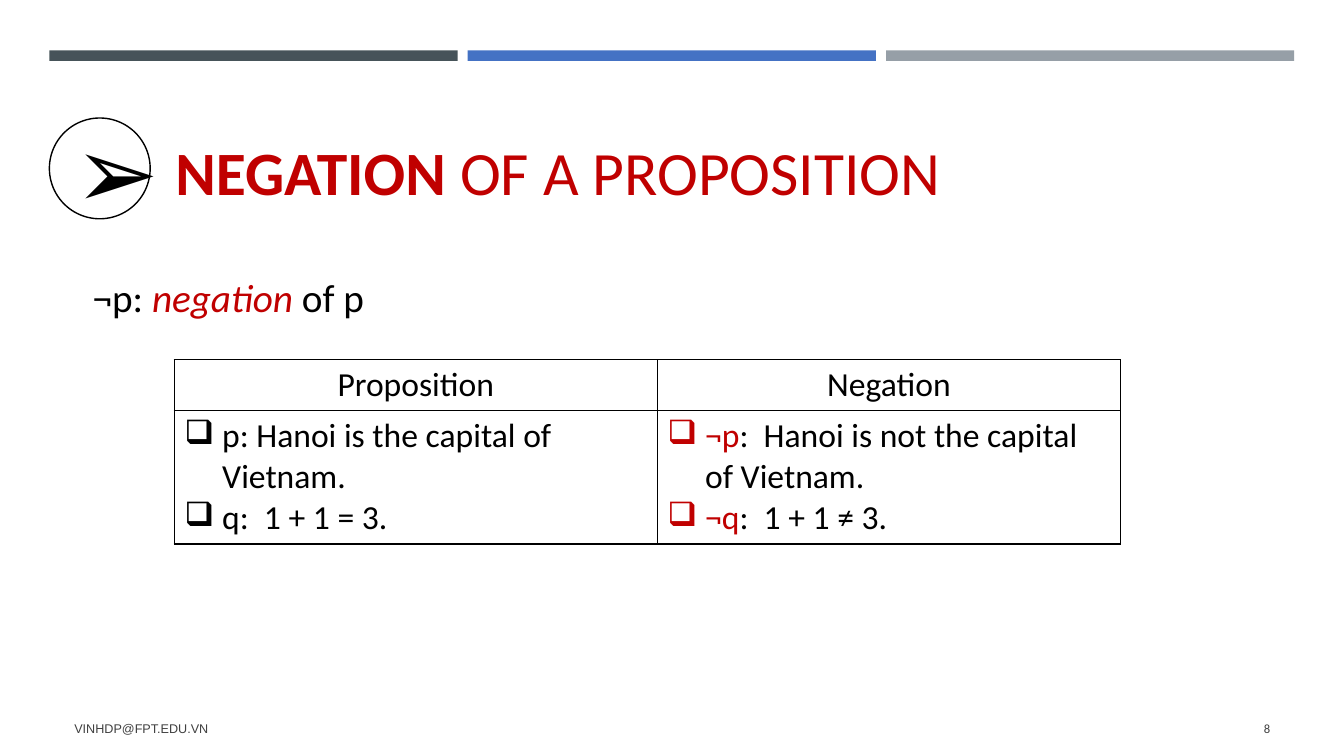
from lxml.etree import SubElement
from pptx import Presentation
from pptx.dml.color import RGBColor
from pptx.enum.shapes import MSO_SHAPE
from pptx.enum.text import MSO_ANCHOR, MSO_AUTO_SIZE, PP_ALIGN
from pptx.oxml.ns import qn
from pptx.util import Pt

COLORS = {"slate": "465359", "blue": "4472C4", "gray": "969FA7", "red": "C00000",
          "black": "000000", "white": "FFFFFF", "footer": "404040"}


def rgb(name):
    return RGBColor.from_string(COLORS[name])


def write_runs(paragraph, runs, size, font="Calibri"):
    """Fill a paragraph with (text, color, style) runs; style is "bold", "italic" or ""."""
    paragraph.font.name = font
    paragraph.font.size = Pt(size)
    for text, color, style in runs:
        run = paragraph.add_run()
        run.text = text
        run.font.color.rgb = rgb(color)
        if style:
            setattr(run.font, style, True)


presentation = Presentation()
presentation.slide_width, presentation.slide_height = Pt(960), Pt(540)
slide = presentation.slides.add_slide(presentation.slide_layouts[1])

# Bars across the top
for index, color in enumerate(["slate", "blue", "gray"]):
    bar = slide.shapes.add_shape(MSO_SHAPE.RECTANGLE, Pt(35.3 + index * 298.8), Pt(36),
                                 Pt(291.6), Pt(7.5))
    bar.shadow.inherit = False
    bar.fill.solid()
    bar.fill.fore_color.rgb = rgb(color)
    bar.line.fill.background()

# Title
title = slide.shapes.title
title.left, title.top, title.width, title.height = Pt(118), Pt(58), Pt(796), Pt(94)
title.text_frame.auto_size = MSO_AUTO_SIZE.NONE
title.text_frame.vertical_anchor = MSO_ANCHOR.BOTTOM
paragraph = title.text_frame.paragraphs[0]
paragraph.alignment = PP_ALIGN.LEFT
write_runs(paragraph, [("NEGATION", "red", "bold"), (" OF A PROPOSITION", "red", "")], 44)

# Definition
body = slide.placeholders[1]
body.left, body.top, body.width, body.height = Pt(59), Pt(155), Pt(868), Pt(286)
body.text_frame.auto_size = MSO_AUTO_SIZE.NONE
body.text_frame.vertical_anchor = MSO_ANCHOR.TOP
body.text_frame.margin_top = Pt(40)
paragraph = body.text_frame.paragraphs[0]
paragraph.space_before = Pt(0)
properties = paragraph._p.get_or_add_pPr()
properties.set("marL", "0")
properties.set("indent", "0")
SubElement(properties, qn("a:buNone"))
write_runs(paragraph, [("¬p: ", "black", ""), ("negation ", "red", "italic"),
                       ("of p", "black", "")], 28)

# Table: each cell is a list of paragraphs, each paragraph a list of runs
rows = [
    [[[("Proposition", "black", "")]], [[("Negation", "black", "")]]],
    [[[("p: Hanoi is the capital of Vietnam.", "black", "")],
      [("q:  1 + 1 = 3.", "black", "")]],
     [[("¬p", "red", ""), (":  Hanoi is not the capital of Vietnam.", "black", "")],
      [("¬q", "red", ""), (":  1 + 1 ≠ 3.", "black", "")]]],
]
table = slide.shapes.add_table(2, 2, Pt(124.5), Pt(257), Pt(676), Pt(131.5)).table
table.first_row = table.horz_banding = False
for column, width in zip(table.columns, [345, 331]):
    column.width = Pt(width)
for row, height in zip(table.rows, [36.5, 95]):
    row.height = Pt(height)

for row_index, row in enumerate(rows):
    for column_index, lines in enumerate(row):
        cell = table.cell(row_index, column_index)
        cell_properties = cell._tc.get_or_add_tcPr()
        for side in ["a:lnL", "a:lnR", "a:lnT", "a:lnB"]:
            border = SubElement(cell_properties, qn(side), w=str(Pt(1)))
            fill = SubElement(border, qn("a:solidFill"))
            SubElement(fill, qn("a:srgbClr"), val=COLORS["black"])
        cell.fill.background()
        for line_index, runs in enumerate(lines):
            frame = cell.text_frame
            paragraph = frame.add_paragraph() if line_index else frame.paragraphs[0]
            if row_index == 0:
                paragraph.alignment = PP_ALIGN.CENTER
            else:
                properties = paragraph._p.get_or_add_pPr()
                properties.set("marL", str(Pt(27)))
                properties.set("indent", str(Pt(-27)))
                SubElement(properties, qn("a:buChar"), char="❑")
            write_runs(paragraph, runs, 24)

# Arrow badge
badge = slide.shapes.add_shape(MSO_SHAPE.OVAL, Pt(35.3), Pt(84.3), Pt(72), Pt(72))
badge.shadow.inherit = False
badge.fill.solid()
badge.fill.fore_color.rgb = rgb("white")
badge.line.color.rgb = rgb("black")
badge.line.width = Pt(1)
badge.text_frame.vertical_anchor = MSO_ANCHOR.MIDDLE
paragraph = badge.text_frame.paragraphs[0]
paragraph.alignment = PP_ALIGN.CENTER
write_runs(paragraph, [("➢", "black", "bold")], 72, "Lato")

# Footer
for left, width, text, font, alignment in [
    (46, 544, "VINHDP@FPT.EDU.VN", "Arial", PP_ALIGN.LEFT),
    (831.5, 83, "8", "Calibri", PP_ALIGN.RIGHT),
]:
    footer = slide.shapes.add_textbox(Pt(left), Pt(506), Pt(width), Pt(29))
    footer.text_frame.word_wrap = True
    footer.text_frame.vertical_anchor = MSO_ANCHOR.MIDDLE
    paragraph = footer.text_frame.paragraphs[0]
    paragraph.alignment = alignment
    write_runs(paragraph, [(text, "footer", "")], 9, font)

presentation.save("out.pptx")
